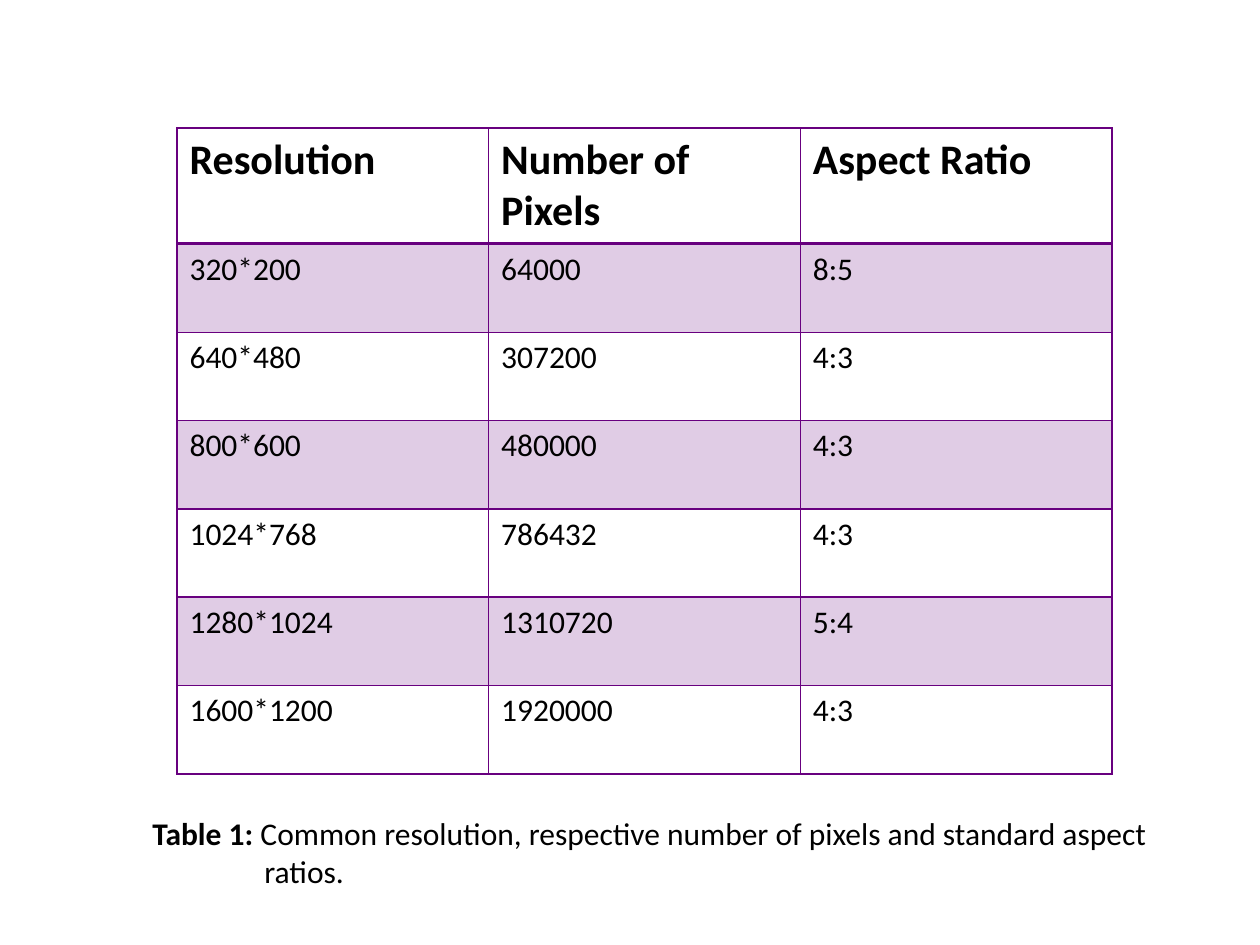
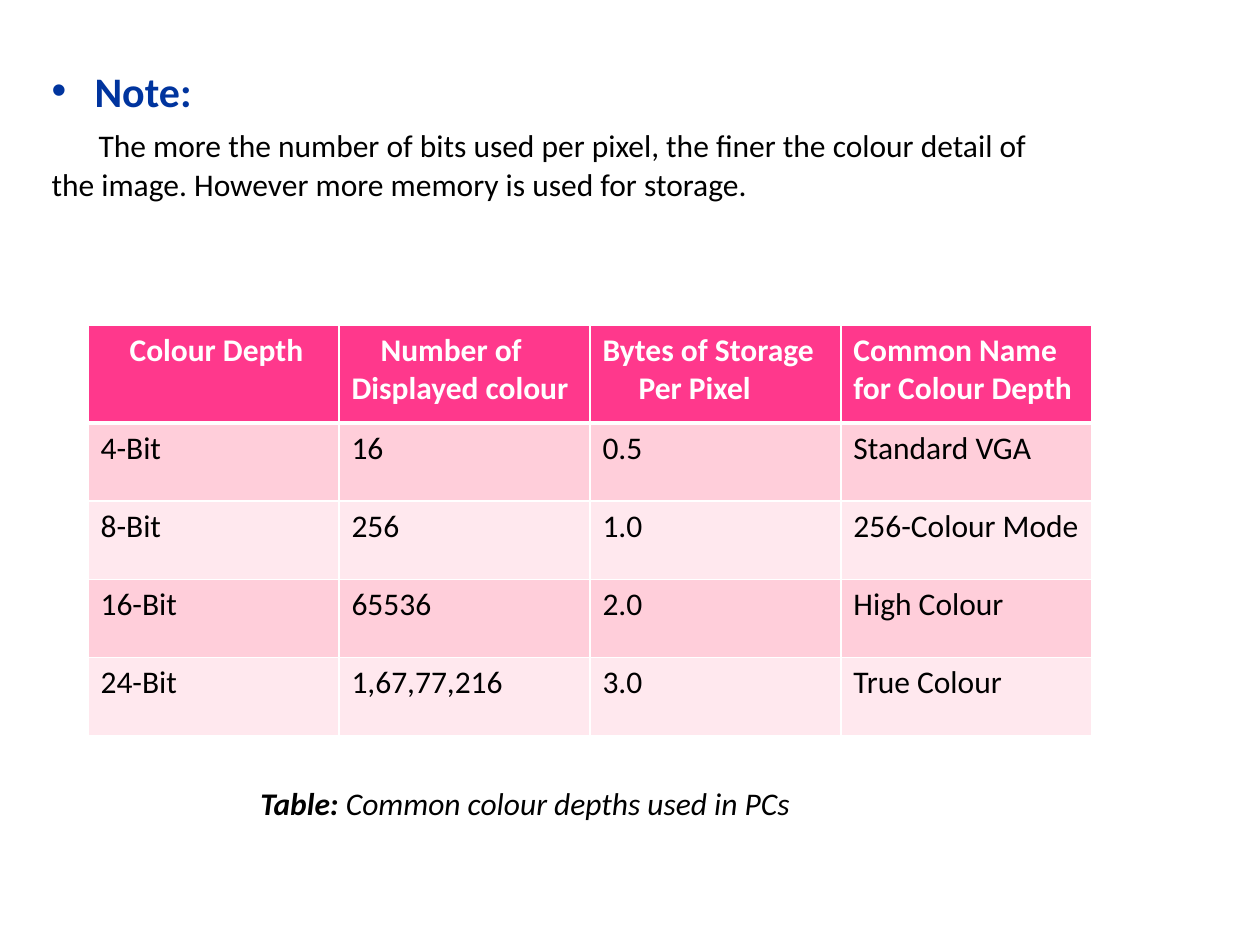
import pptx
import pptx.dml.color
import pptx.enum.text
import pptx.oxml
import pptx.oxml.ns
import pptx.util
from dataclasses import dataclass

EMU_PER_PX = 914400 / 126


@dataclass(frozen=True)
class Theme:
    font: str = "Calibri"
    heading: int = 24
    text: int = 18
    black: str = "000000"
    white: str = "FFFFFF"
    blue: str = "00349E"
    purple: str = "68007F"
    pink: str = "FF388C"
    pink_mid: str = "FFCEDA"
    pink_pale: str = "FFE8EE"


THEME = Theme()


@dataclass(frozen=True)
class TableStyle:
    header_fill: str
    header_color: str
    header_size: int
    bands: tuple  # (colour, opacity in percent) in turn down the body
    border: str
    header_rule: int  # points


PURPLE_GRID = TableStyle(THEME.white, THEME.black, THEME.heading,
                         ((THEME.purple, 20), (THEME.white, 100)),
                         THEME.purple, 2)
PINK_BANDS = TableStyle(THEME.pink, THEME.white, THEME.text,
                        ((THEME.pink_mid, 100), (THEME.pink_pale, 100)),
                        THEME.white, 3)


def px(n):
    return pptx.util.Emu(round(n * EMU_PER_PX))


def rgb(color):
    return pptx.dml.color.RGBColor.from_string(color)


def add_xml(parent, tag, **attributes):
    child = pptx.oxml.parse_xml(f"<a:{tag} {pptx.oxml.ns.nsdecls('a')}/>")
    for name, value in attributes.items():
        child.set(name, str(value))
    parent.append(child)
    return child


# Text
def add_run(p, text, size=THEME.text, color=THEME.black, bold=False, italic=False):
    r = p.add_run()
    r.text = text
    r.font.name = THEME.font
    r.font.size = pptx.util.Pt(size)
    r.font.color.rgb = rgb(color)
    r.font.bold = bold
    r.font.italic = italic


def indent(p, left, first):
    """Left margin and first-line offset of a paragraph, in px."""
    pPr = p._p.get_or_add_pPr()
    pPr.set("marL", str(px(left)))
    pPr.set("indent", str(px(first)))
    return pPr


def add_caption(s, box, label, text, left, first, italic=False):
    tf = s.shapes.add_textbox(*map(px, box)).text_frame
    tf.word_wrap = True
    p = tf.paragraphs[0]
    indent(p, left, first)
    add_run(p, label, bold=True, italic=italic)
    add_run(p, " " + text, italic=italic)


def fill_note(sp, box, heading, text):
    sp.left, sp.top, sp.width, sp.height = map(px, box)
    tf = sp.text_frame
    tf.auto_size = pptx.enum.text.MSO_AUTO_SIZE.NONE
    p = tf.paragraphs[0]
    add_xml(indent(p, 43, -43), "buChar", char="•")
    p.space_before = pptx.util.Pt(0)
    add_run(p, heading, THEME.heading, THEME.blue, bold=True)
    p = tf.add_paragraph()
    add_xml(indent(p, 0, 47), "buNone")
    p.space_before = pptx.util.Pt(4.6)
    p.line_spacing = 1.05
    add_run(p, text)


# Tables
def set_borders(cell, color, top, bottom):
    tcPr = cell._tc.get_or_add_tcPr()
    for side, width in (("L", 1), ("R", 1), ("T", top), ("B", bottom)):
        ln = add_xml(tcPr, "ln" + side, w=pptx.util.Pt(width))
        add_xml(add_xml(ln, "solidFill"), "srgbClr", val=color)


def set_fill(cell, color, opacity=100):
    cell.fill.solid()
    cell.fill.fore_color.rgb = rgb(color)
    if opacity < 100:
        clr = cell._tc.tcPr.find(".//" + pptx.oxml.ns.qn("a:solidFill") + "[last()]")
        clr = cell._tc.tcPr.findall(pptx.oxml.ns.qn("a:solidFill"))[-1][0]
        add_xml(clr, "alpha", val=opacity * 1000)


def add_table(s, box, header_height, rows, style, header_indents=None):
    x, y, w, h = box
    n_rows, n_cols = len(rows), len(rows[0])
    table = s.shapes.add_table(n_rows, n_cols, *map(px, box)).table
    table.first_row = table.horz_banding = False
    for column in table.columns:
        column.width = px(w / n_cols)
    for i, values in enumerate(rows):
        is_header = i == 0
        table.rows[i].height = px(header_height if is_header
                                  else (h - header_height) / (n_rows - 1))
        for j, value in enumerate(values):
            cell = table.cell(i, j)
            set_borders(cell, style.border,
                        top=style.header_rule if i == 1 else 1,
                        bottom=style.header_rule if is_header else 1)
            p = cell.text_frame.paragraphs[0]
            if is_header:
                set_fill(cell, style.header_fill)
                add_run(p, value, style.header_size, style.header_color, bold=True)
                if header_indents:
                    indent(p, *header_indents[j])
            else:
                set_fill(cell, *style.bands[(i - 1) % len(style.bands)])
                add_run(p, value)


# Slides
def resolution_slide(prs):
    s = prs.slides.add_slide(prs.slide_layouts[6])
    rows = [
        ("Resolution", "Number of Pixels", "Aspect Ratio"),
        ("320*200", "64000", "8:5"),
        ("640*480", "307200", "4:3"),
        ("800*600", "480000", "4:3"),
        ("1024*768", "786432", "4:3"),
        ("1280*1024", "1310720", "5:4"),
        ("1600*1200", "1920000", "4:3"),
    ]
    add_table(s, (177, 128, 935, 646), 116, rows, PURPLE_GRID)
    add_caption(s, (98, 808, 1074, 89), "Table 1:",
                "Common resolution, respective number of pixels and "
                "standard aspect ratios.", left=154, first=-112)


def colour_depth_slide(prs):
    s = prs.slides.add_slide(prs.slide_layouts[1])
    title, body = s.placeholders
    title._element.getparent().remove(title._element)
    fill_note(body, (39, 59, 1014, 292), "Note:",
              "The more the number of bits used per pixel, the finer the colour "
              "detail of the image. However more memory is used for storage.")
    rows = [
        ("Colour Depth", "Number of Displayed colour",
         "Bytes of Storage Per Pixel", "Common Name for Colour Depth"),
        ("4-Bit", "16", "0.5", "Standard VGA"),
        ("8-Bit", "256", "1.0", "256-Colour Mode"),
        ("16-Bit", "65536", "2.0", "High Colour"),
        ("24-Bit", "1,67,77,216", "3.0", "True Colour"),
    ]
    add_table(s, (88, 325, 1004, 411), 98, rows, PINK_BANDS,
              header_indents=((0, 29), (0, 29), (36, -36), (0, 0)))
    add_caption(s, (98, 778, 955, 50), "Table:",
                "Common colour depths used in PCs", left=150, first=0, italic=True)


def main():
    prs = pptx.Presentation()
    prs.slide_width, prs.slide_height = px(1260), px(945)
    resolution_slide(prs)
    colour_depth_slide(prs)
    prs.save("out.pptx")


if __name__ == "__main__":
    main()
